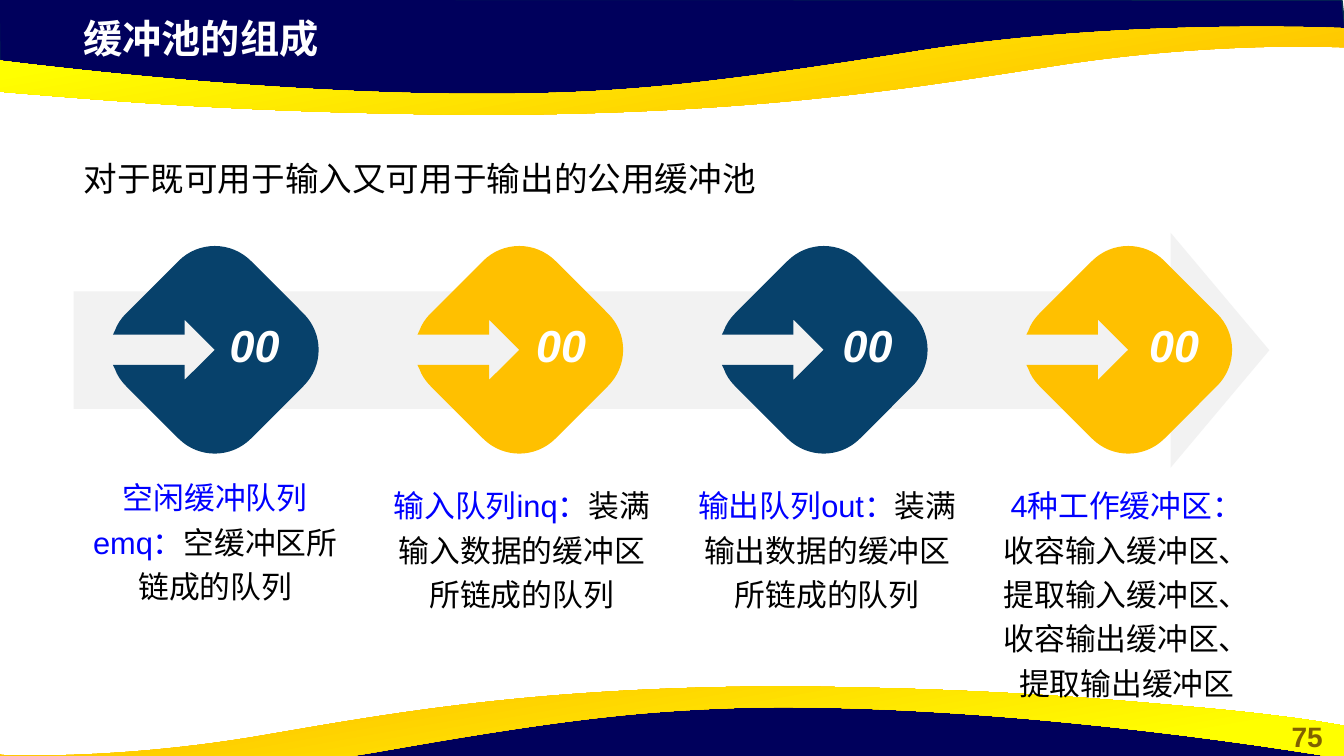
from dataclasses import dataclass
from pptx import Presentation
from pptx.dml.color import RGBColor
from pptx.enum.shapes import MSO_SHAPE as Shape
from pptx.enum.text import MSO_ANCHOR as Anchor, PP_ALIGN as Align
from pptx.oxml.ns import qn
from pptx.util import Inches, Pt


@dataclass(frozen=True)
class Theme:
    font: str = "Arial"
    navy: str = "00005C"
    edge: str = "05304F"
    gold: str = "FFC000"
    lemon: str = "FFFF00"
    teal: str = "07416B"
    pale: str = "F2F2F2"
    white: str = "FFFFFF"
    black: str = "000000"
    blue: str = "0000FF"
    olive: str = "806000"
    title: int = 28
    lead: int = 24
    label: int = 22
    count: int = 32
    page: int = 20


THEME = Theme()

TOP_NAVY = [(-0.01, -0.01), (0, 0.7), (2.93, 1.02), (5.59, 1), (7.95, 0.88),
            (10.16, 0.5), (12.38, 0.33), (13.35, 0.38), (13.31, 0)]
LOW_NAVY = [(13.33, 7.94), (13.32, 7.24), (10.4, 6.91), (7.73, 6.93), (5.38, 7.06),
            (3.17, 7.43), (0.95, 7.6), (-0.03, 7.56), (0.01, 7.93)]
TOP_GOLD = [(4.83, 1.14), (4.43, 1.14, 4.01, 1.13, 3.56, 1.12),
            (2.06, 1.08, 1.1, 1, 0.36, 0.94), (-0.88, 0.84, -1.3, 0.75, -1.33, 0.75),
            (-1.33, 0.42), (-1.33, 0.42, 2.18, 0.98, 5.17, 0.93),
            (6.26, 0.91, 7.08, 0.83, 9.15, 0.5), (11.21, 0.18, 13.33, 0.28, 13.33, 0.28),
            (13.33, 0.47), (13.3, 0.47), (13.05, 0.46, 11.95, 0.43, 10.55, 0.64),
            (9.18, 0.85, 7.62, 1.13, 4.83, 1.14)]
LOW_GOLD = [(7.72, 6.81), (8.09, 6.81, 8.47, 6.82, 8.88, 6.83),
            (10.25, 6.87, 11.12, 6.95, 11.79, 7.01), (12.92, 7.11, 13.3, 7.2, 13.33, 7.2),
            (13.33, 7.53), (13.33, 7.53, 10.14, 6.97, 7.42, 7.02),
            (6.42, 7.05, 5.67, 7.12, 3.8, 7.45), (1.92, 7.78, -0.01, 7.68, -0.01, 7.68),
            (-0.01, 7.48), (0.02, 7.49), (0.25, 7.5, 1.25, 7.52, 2.52, 7.31),
            (3.76, 7.1, 5.19, 6.82, 7.72, 6.81)]
DIAMOND = [(0, -1.03), (0.13, -1.03, 0.26, -0.98, 0.36, -0.88), (0.88, -0.36),
           (1.08, -0.16, 1.08, 0.16, 0.88, 0.36), (0.36, 0.88),
           (0.16, 1.08, -0.16, 1.08, -0.36, 0.88), (-0.88, 0.36),
           (-0.93, 0.31, -0.97, 0.25, -0.99, 0.19), (-1.01, 0.15), (-0.3, 0.15),
           (-0.3, 0.3), (0, 0), (-0.3, -0.3), (-0.3, -0.15), (-1.01, -0.15),
           (-0.99, -0.19), (-0.97, -0.25, -0.93, -0.31, -0.88, -0.36), (-0.36, -0.88),
           (-0.26, -0.98, -0.13, -1.03, 0, -1.03)]

STEPS = [
    (0.75, 4.63, "空闲缓冲队列emq：", "空缓冲区所链成的队列"),
    (3.79, 4.71, "输入队列inq：", "装满输入数据的缓冲区所链成的队列"),
    (6.82, 4.71, "输出队列out：", "装满输出数据的缓冲区所链成的队列"),
    (9.79, 4.71, "4种工作缓冲区：",
     "收容输入缓冲区、提取输入缓冲区、收容输出缓冲区、提取输出缓冲区"),
]


def rgb(code):
    return RGBColor.from_string(code)


def paint(shape, color, edge=None):
    shape.shadow.inherit = False
    shape.fill.solid()
    shape.fill.fore_color.rgb = rgb(color)
    if edge:
        shape.line.color.rgb = rgb(edge)
        shape.line.width = Pt(1)
    else:
        shape.line.fill.background()


def bend(shape, route):
    track = shape._element.find(".//" + qn("a:path"))
    lines = iter(track.findall(qn("a:lnTo")))
    for leg in route[1:]:
        first = next(lines)
        if len(leg) == 6:
            first.tag = qn("a:cubicBezTo")
            for line in (next(lines), next(lines)):
                first.append(line[0])
                track.remove(line)


def add_free(slide, route, color, edge=None, left=0, top=0):
    dots = [(Inches(left + x), Inches(top + y))
            for leg in route for x, y in zip(leg[::2], leg[1::2])]
    pen = slide.shapes.build_freeform(*dots[0], scale=1.0)
    pen.add_line_segments(dots[1:], close=True)
    shape = pen.convert_to_shape()
    bend(shape, route)
    paint(shape, color, edge)
    return shape


def add_wave(slide, route, angle):
    fill = add_free(slide, route, THEME.gold).fill
    fill.gradient()
    fill.gradient_angle = angle
    stops = zip(fill.gradient_stops, (0.11, 0.78), (THEME.gold, THEME.lemon))
    for stop, place, color in stops:
        stop.position = place
        stop.color.rgb = rgb(color)


def add_text(slide, box, runs, size, align=Align.LEFT, anchor=Anchor.TOP,
             bold=False, italic=False, space=None):
    frame = slide.shapes.add_textbox(*map(Inches, box)).text_frame
    frame.word_wrap = True
    frame.vertical_anchor = anchor
    para = frame.paragraphs[0]
    para.alignment = align
    para.line_spacing = space
    font = para.font
    font.name, font.size = THEME.font, Pt(size)
    font.bold, font.italic = bold, italic
    if len(runs) == 1:
        font.color.rgb = rgb(runs[0][1])
    for text, color in runs:
        run = para.add_run()
        run.text = text
        if len(runs) > 1:
            run.font.color.rgb = rgb(color)


def add_frame(slide):
    add_free(slide, TOP_NAVY, THEME.navy, THEME.edge)
    add_wave(slide, TOP_GOLD, 100)
    add_free(slide, LOW_NAVY, THEME.navy, THEME.edge)
    add_wave(slide, LOW_GOLD, 280)
    add_text(slide, (12.6, 7.09, 0.73, 0.44), [("75", THEME.olive)], THEME.page,
             Align.CENTER, bold=True)


def add_arrow(slide):
    box = map(Inches, (0.73, 2.31, 11.86, 2.33))
    arrow = slide.shapes.add_shape(Shape.RIGHT_ARROW, *box)
    arrow.adjustments[0] = 0.5
    arrow.adjustments[1] = 0.42
    paint(arrow, THEME.pale)


def add_step(slide, index, left, top, name, note):
    color = (THEME.teal, THEME.gold)[index % 2]
    add_free(slide, DIAMOND, color, left=2.13 + 3.02 * index, top=3.47)
    add_text(slide, (2.14 + 3.04 * index, 3.05, 0.77, 0.74), [("00", THEME.white)],
             THEME.count, Align.CENTER, Anchor.MIDDLE, bold=True, italic=True)
    add_text(slide, (left, top, 2.77, 1.6), [(name, THEME.blue), (note, THEME.black)],
             THEME.label, Align.CENTER, space=1.2)


def main():
    deck = Presentation()
    deck.slide_width, deck.slide_height = Inches(13.33), Inches(7.5)
    slide = deck.slides.add_slide(deck.slide_layouts[6])
    add_frame(slide)
    add_text(slide, (0.73, 0.09, 7.68, 0.57), [("缓冲池的组成", THEME.white)],
             THEME.title, bold=True)
    add_text(slide, (0.73, 1.37, 9.3, 0.66),
             [("对于既可用于输入又可用于输出的公用缓冲池", THEME.black)],
             THEME.lead, anchor=Anchor.MIDDLE, space=1.32)
    add_arrow(slide)
    for index, step in enumerate(STEPS):
        add_step(slide, index, *step)
    deck.save("out.pptx")


if __name__ == "__main__":
    main()
